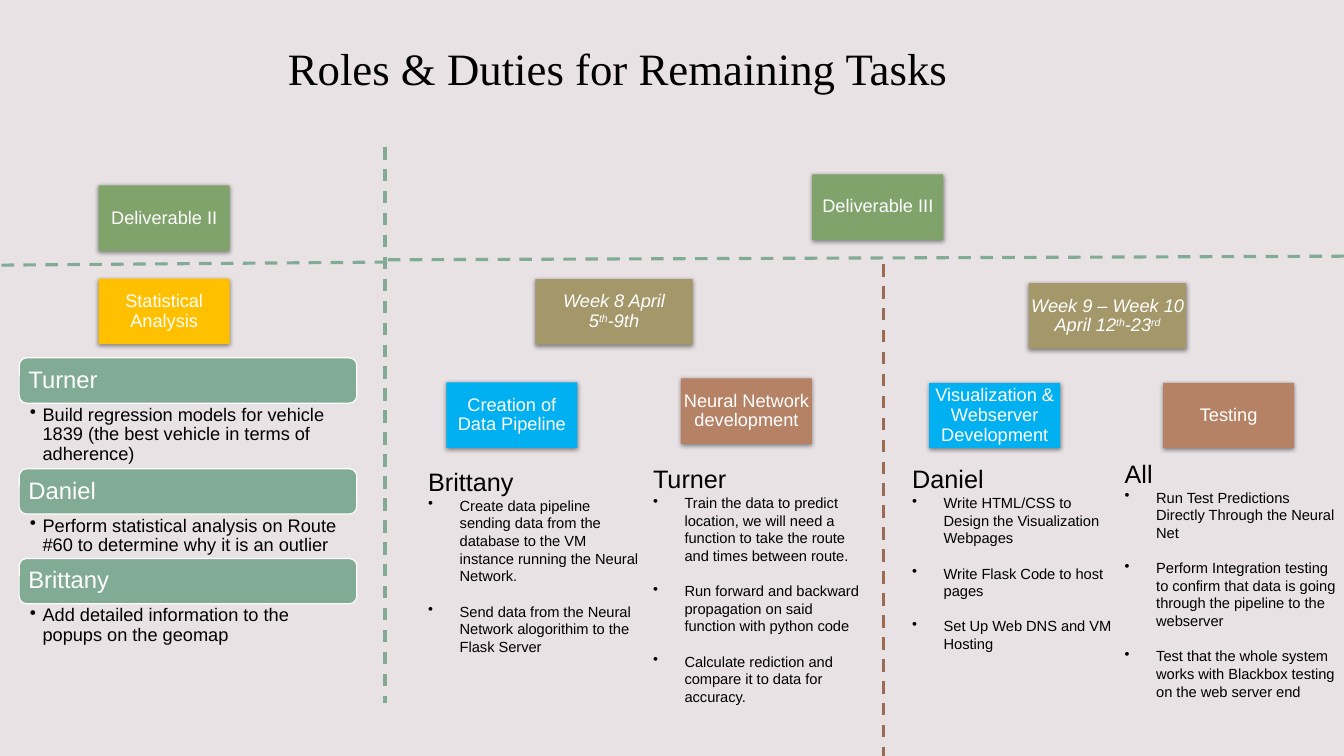
from dataclasses import dataclass

from lxml import etree
from pptx import Presentation
from pptx.dml.color import RGBColor
from pptx.enum.dml import MSO_LINE
from pptx.enum.shapes import MSO_CONNECTOR, MSO_SHAPE
from pptx.enum.text import MSO_ANCHOR, PP_ALIGN
from pptx.oxml.ns import qn
from pptx.util import Pt

RECT, ROUNDED = MSO_SHAPE.RECTANGLE, MSO_SHAPE.ROUNDED_RECTANGLE
STRAIGHT, DASH = MSO_CONNECTOR.STRAIGHT, MSO_LINE.DASH
TOP, MIDDLE, BOTTOM = MSO_ANCHOR.TOP, MSO_ANCHOR.MIDDLE, MSO_ANCHOR.BOTTOM
LEFT, CENTER = PP_ALIGN.LEFT, PP_ALIGN.CENTER


@dataclass(frozen=True)
class Theme:
    background: str = "E8E2E5"
    green: str = "80A26B"
    teal: str = "81AB94"
    olive: str = "A4986B"
    gold: str = "FFC000"
    blue: str = "00B0F0"
    clay: str = "B68266"
    brown: str = "996B52"
    white: str = "FFFFFF"
    black: str = "000000"
    title_font: str = "Times New Roman"
    body_font: str = "Arial"
    title: float = 32
    name: float = 18
    owner: float = 17
    body: float = 13
    duty: float = 10.5


T = Theme()
CARD_W, WEEK_W, CARD_H = 93.6, 112.4, 46.8
OWNER_H = 32.4

# left, top, width, fill, text pieces (every second piece is superscript)
CARDS = [
    (70.5, 132.4, CARD_W, T.green, ["Deliverable II"]),
    (580.2, 124.5, CARD_W, T.green, ["Deliverable III"]),
    (70.5, 199, CARD_W, T.gold, ["Statistical Analysis"]),
    (382.4, 199.4, WEEK_W, T.olive, ["Week 8 April 5", "th", "-9th"]),
    (734.9, 202.3, WEEK_W, T.olive,
     ["Week 9 – Week 10 April 12", "th", "-23", "rd"]),
    (318.8, 273.1, CARD_W, T.blue, ["Creation of Data Pipeline"]),
    (486.4, 270.2, CARD_W, T.clay, ["Neural Network development"]),
    (663.7, 273.4, CARD_W, T.blue, ["Visualization & Webserver Development"]),
    (830.8, 273.4, CARD_W, T.clay, ["Testing"]),
]

# owner, task, height of the task text
STATISTICS_TASKS = [
    ("Turner", "Build regression models for vehicle 1839 (the best vehicle in "
     "terms of adherence)", 46.8),
    ("Daniel", "Perform statistical analysis on Route #60 to determine why it "
     "is an outlier", 31.7),
    ("Brittany", "Add detailed information to the popups on the geomap", 31.7),
]

# left, top, width, name, duties
DUTIES = [
    (298.8, 329.6, 167.8, "Brittany", [
        "Create data pipeline sending data from the database to the VM "
        "instance running the Neural Network.",
        "Send data from the Neural Network alogorithim to the Flask Server"]),
    (459.4, 327.6, 167.8, "Turner", [
        "Train the data to predict location, we will need a function to take "
        "the route and times between route.",
        "Run forward and backward propagation on said function with python code",
        "Calculate rediction and compare it to data for accuracy."]),
    (644.5, 327.6, 157, "Daniel", [
        "Write HTML/CSS to Design the Visualization Webpages",
        "Write Flask Code to host pages",
        "Set Up Web DNS and VM Hosting"]),
    (796.3, 323.8, 165.6, "All", [
        "Run Test Predictions Directly Through the Neural Net",
        "Perform Integration testing to confirm that data is going through "
        "the pipeline to the webserver",
        "Test that the whole system works with Blackbox testing on the web "
        "server end"]),
]

# x1, y1, x2, y2, colour
DIVIDERS = [
    (275, 105, 275, 502, T.teal),
    (276.5, 187.2, 0, 189.4, T.teal),
    (960, 183, 275, 185.6, T.teal),
    (630.9, 188.6, 630.9, 540, T.brown),
]


def rgb(color):
    return RGBColor.from_string(color)


def set_frame(sp, anchor, insets):
    tf = sp.text_frame
    tf.word_wrap = True
    tf.vertical_anchor = anchor
    tf.margin_left, tf.margin_top, tf.margin_right, tf.margin_bottom = map(Pt, insets)
    return tf


def style(p, size, color, font=T.body_font, align=LEFT, spacing=1.0):
    p.alignment = align
    p.line_spacing = spacing
    for r in p.runs:
        r.font.name = font
        r.font.size = Pt(size)
        r.font.color.rgb = rgb(color)


def add_bullet(p, indent):
    pPr = p._p.get_or_add_pPr()
    pPr.set("marL", str(Pt(indent)))
    pPr.set("indent", str(-Pt(indent)))
    etree.SubElement(pPr, qn("a:buChar")).set("char", "•")


def add_shadow(sp):
    effects = sp._element.spPr.find(qn("a:effectLst"))
    shadow = etree.SubElement(effects, qn("a:outerShdw"), blurRad=str(Pt(3.5)),
                              dist=str(Pt(1.1)), dir="5400000", rotWithShape="0")
    color = etree.SubElement(shadow, qn("a:srgbClr"), val=T.black)
    etree.SubElement(color, qn("a:alpha"), val="45000")


def add_block(slide, kind, left, top, width, height, fill):
    sp = slide.shapes.add_shape(kind, Pt(left), Pt(top), Pt(width), Pt(height))
    sp.shadow.inherit = False
    sp.fill.solid()
    sp.fill.fore_color.rgb = rgb(fill)
    sp.line.fill.background()
    return sp


def add_text(slide, left, top, width, height, anchor=TOP, insets=(7.2, 3.6, 7.2, 3.6)):
    sp = slide.shapes.add_textbox(Pt(left), Pt(top), Pt(width), Pt(height))
    return set_frame(sp, anchor, insets)


def add_title(slide, text):
    tf = add_text(slide, 39.6, 16, 803.5, 55.3, BOTTOM)
    tf.text = text
    style(tf.paragraphs[0], T.title, T.black, T.title_font, CENTER)


def add_card(slide, left, top, width, fill, pieces):
    sp = add_block(slide, RECT, left, top, width, CARD_H, fill)
    add_shadow(sp)
    p = set_frame(sp, MIDDLE, (0.6,) * 4).paragraphs[0]
    for i, piece in enumerate(pieces):
        r = p.add_run()
        r.text = piece
        r.font.italic = len(pieces) > 1
        if i % 2:
            r.font._element.set("baseline", "30000")
    style(p, T.body, T.white, align=CENTER, spacing=0.9)


def add_owner_list(slide, left, top, width, tasks):
    """Stack a rounded owner bar and a bulleted task for each entry."""
    for owner, task, task_height in tasks:
        sp = add_block(slide, ROUNDED, left, top, width, OWNER_H, T.teal)
        sp.line.color.rgb = rgb(T.white)
        sp.line.width = Pt(0.85)
        tf = set_frame(sp, MIDDLE, (5, 5, 5, 5))
        tf.text = owner
        style(tf.paragraphs[0], T.owner, T.white, spacing=0.9)
        top += OWNER_H
        tf = add_text(slide, left, top, width, task_height, insets=(7.7, 1.6, 9, 1.6))
        tf.text = task
        add_bullet(tf.paragraphs[0], 9)
        style(tf.paragraphs[0], T.body, T.black, spacing=0.9)
        top += task_height


def add_duties(slide, left, top, width, name, duties):
    tf = add_text(slide, left, top, width, 190)
    tf.text = name
    style(tf.paragraphs[0], T.name, T.black)
    for i, duty in enumerate(duties):
        p = tf.add_paragraph()
        p.text = duty
        add_bullet(p, 22.5)
        style(p, T.duty, T.black)
        if i:
            p.space_before = Pt(12.6)


def add_divider(slide, x1, y1, x2, y2, color):
    line = slide.shapes.add_connector(STRAIGHT, Pt(x1), Pt(y1), Pt(x2), Pt(y2))
    line.line.color.rgb = rgb(color)
    line.line.width = Pt(2.25)
    line.line.dash_style = DASH
    etree.SubElement(line._element.spPr, qn("a:effectLst"))


def main():
    prs = Presentation()
    prs.slide_width, prs.slide_height = Pt(960), Pt(540)
    slide = prs.slides.add_slide(prs.slide_layouts[6])
    slide.background.fill.solid()
    slide.background.fill.fore_color.rgb = rgb(T.background)
    add_title(slide, "Roles & Duties for Remaining Tasks")
    for card in CARDS:
        add_card(slide, *card)
    add_owner_list(slide, 13.7, 255.6, 241.2, STATISTICS_TASKS)
    for divider in DIVIDERS:
        add_divider(slide, *divider)
    for column in DUTIES:
        add_duties(slide, *column)
    prs.save("out.pptx")


if __name__ == "__main__":
    main()
